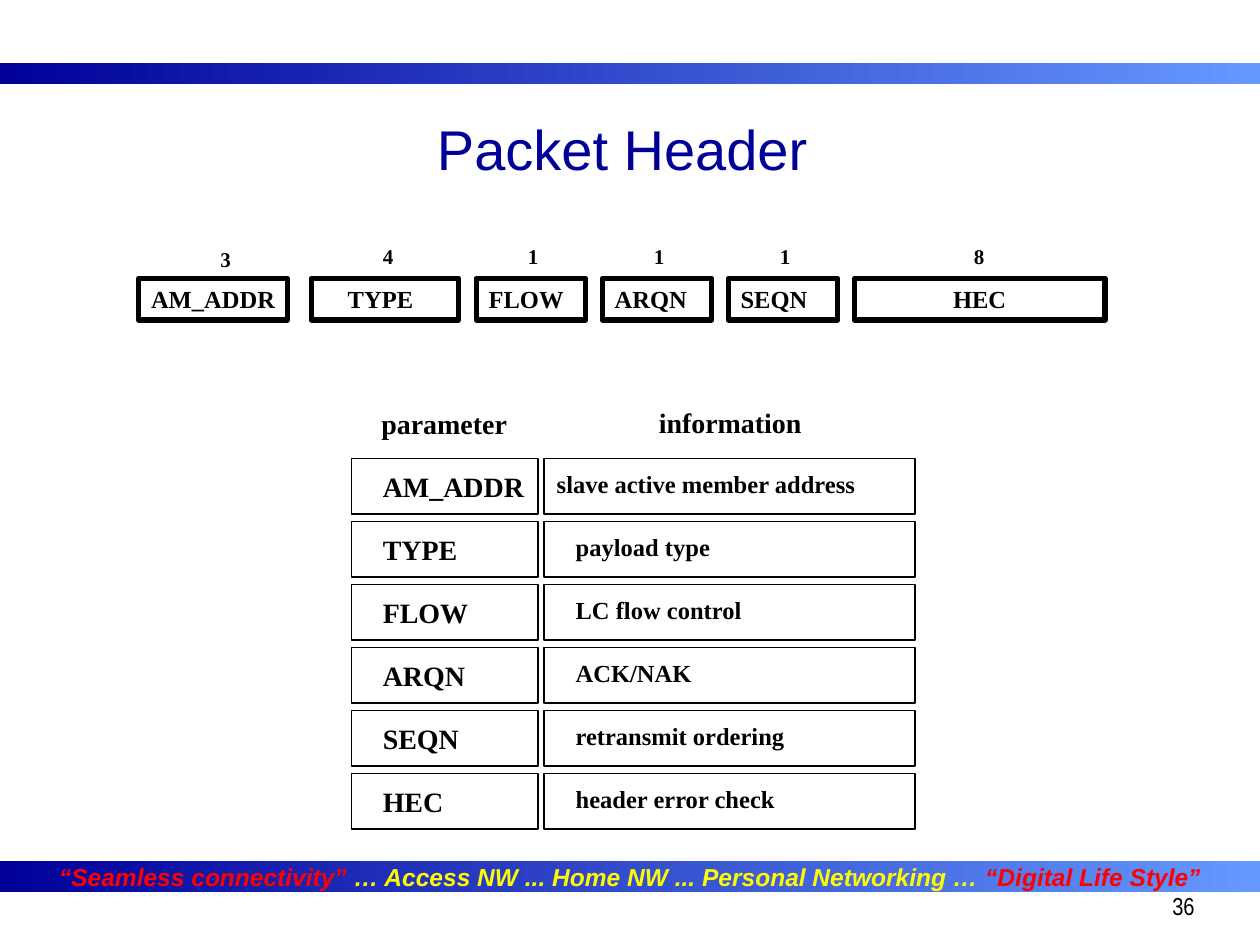
from dataclasses import dataclass

from pptx import Presentation
from pptx.dml.color import RGBColor
from pptx.enum.shapes import MSO_SHAPE
from pptx.enum.text import MSO_ANCHOR, PP_ALIGN
from pptx.shapes.autoshape import Shape
from pptx.slide import Slide
from pptx.util import Inches, Pt

RECT = MSO_SHAPE.RECTANGLE
MIDDLE = MSO_ANCHOR.MIDDLE
LEFT, CENTER, RIGHT = PP_ALIGN.LEFT, PP_ALIGN.CENTER, PP_ALIGN.RIGHT
BLACK = RGBColor(0x00, 0x00, 0x00)
WHITE = RGBColor(0xFF, 0xFF, 0xFF)
NAVY = RGBColor(0x00, 0x00, 0x99)
SKY = RGBColor(0x66, 0x99, 0xFF)
RED = RGBColor(0xFF, 0x00, 0x00)
YELLOW = RGBColor(0xFF, 0xFF, 0x00)
SERIF = "Times New Roman"


@dataclass
class Field:
    name: str
    bits: str
    left: float
    width: float
    bit_left: float
    bit_top: float = 1.88
    inset: float = 0.1
    align: PP_ALIGN = LEFT
    wrap: bool = True


@dataclass
class Row:
    name: str
    info: str
    info_left: float = 4.47
    name_width: float = 1.23


FIELDS = [
    Field("AM_ADDR", "3", 1.1, 1.18, 1.65, bit_top=1.91, wrap=False),
    Field("TYPE", "4", 2.47, 1.17, 2.94, inset=0.29),
    Field("FLOW", "1", 3.78, 0.87, 4.09),
    Field("ARQN", "1", 4.78, 0.87, 5.09),
    Field("SEQN", "1", 5.78, 0.87, 6.09),
    Field("HEC", "8", 6.78, 1.99, 7.63, align=CENTER),
]
ROWS = [
    Row("AM_ADDR", "slave active member address", 4.32, 1.41),
    Row("TYPE", "payload type"),
    Row("FLOW", "LC flow control"),
    Row("ARQN", "ACK/NAK"),
    Row("SEQN", "retransmit ordering"),
    Row("HEC", "header error check"),
]
MOTTO = [
    ("“Seamless connectivity”", RED),
    (" … Access NW ... Home NW ... Personal Networking … ", YELLOW),
    ("“Digital Life Style”", RED),
]


def write(shape: Shape, text: str, size: float, align: PP_ALIGN = LEFT,
          face: str = SERIF, bold: bool = True) -> None:
    shape.text_frame.word_wrap = True
    para = shape.text_frame.paragraphs[0]
    para.text = text
    para.alignment = align
    para.font.size = Pt(size)
    para.font.name = face
    para.font.bold = bold
    para.font.color.rgb = BLACK


def add_label(slide: Slide, text: str, left: float, top: float, width: float,
              height: float, size: float, align: PP_ALIGN = LEFT) -> None:
    label = slide.shapes.add_textbox(
        Inches(left), Inches(top), Inches(width), Inches(height))
    write(label, text, size, align)


def add_box(slide: Slide, left: float, top: float, width: float,
            height: float, weight: float) -> Shape:
    box = slide.shapes.add_shape(
        RECT, Inches(left), Inches(top), Inches(width), Inches(height))
    box.shadow.inherit = False
    box.fill.solid()
    box.fill.fore_color.rgb = WHITE
    box.line.color.rgb = BLACK
    box.line.width = Pt(weight)
    return box


def add_band(slide: Slide, top: float, height: float) -> Shape:
    band = slide.shapes.add_shape(
        RECT, 0, Inches(top), Inches(10), Inches(height))
    band.shadow.inherit = False
    band.line.fill.background()
    band.fill.gradient()
    band.fill.gradient_angle = 180
    for stop, color in zip(band.fill.gradient_stops, (SKY, NAVY)):
        stop.color.rgb = color
    return band


def add_motto(band: Shape) -> None:
    frame = band.text_frame
    frame.word_wrap = False
    frame.vertical_anchor = MIDDLE
    para = frame.paragraphs[0]
    para.alignment = CENTER
    para.font.size = Pt(14)
    para.font.name = "Arial"
    para.font.bold = True
    para.font.italic = True
    for text, color in MOTTO:
        run = para.add_run()
        run.text = text
        run.font.color.rgb = color


def add_title(slide: Slide) -> None:
    title = slide.shapes.title
    title.left, title.top = Inches(0.49), Inches(0.91)
    title.width, title.height = Inches(8.9), Inches(0.53)
    write(title, "Packet Header", 32, CENTER, "Arial", False)
    title.text_frame.vertical_anchor = MIDDLE
    title.text_frame.paragraphs[0].font.color.rgb = NAVY


def add_field(slide: Slide, field: Field) -> None:
    box = add_box(slide, field.left, 2.21, field.width, 0.33, 3)
    write(box, field.name, 14, field.align)
    box.text_frame.margin_left = Inches(field.inset)
    box.text_frame.word_wrap = field.wrap
    add_label(slide, field.bits, field.bit_left, field.bit_top, 0.28, 0.3, 12)


def add_row(slide: Slide, row: Row, top: float) -> None:
    add_box(slide, 2.79, top, 1.48, 0.44, 1)
    add_label(slide, row.name, 2.94, top + 0.04, row.name_width, 0.36, 16)
    add_box(slide, 4.32, top, 2.94, 0.44, 1)
    add_label(slide, row.info, row.info_left, top + 0.03, 3.05, 0.33, 14)


def add_number(slide: Slide) -> None:
    number = slide.shapes.add_textbox(
        Inches(7.5), Inches(7), Inches(2.08), Inches(0.5))
    write(number, "36", 14, RIGHT, "Arial Narrow", False)
    number.text_frame.paragraphs[0].line_spacing = 1.1


def main() -> None:
    deck = Presentation()
    deck.slide_width, deck.slide_height = Inches(10), Inches(7.5)
    slide = deck.slides.add_slide(deck.slide_layouts[5])
    add_band(slide, 0.5, 0.17)
    add_motto(add_band(slide, 6.83, 0.25))
    add_title(slide)
    for field in FIELDS:
        add_field(slide, field)
    add_label(slide, "parameter", 2.78, 3.18, 1.49, 0.36, 16, CENTER)
    add_label(slide, "information", 4.32, 3.17, 2.95, 0.36, 16, CENTER)
    for index, row in enumerate(ROWS):
        add_row(slide, row, 3.64 + 0.5 * index)
    add_number(slide)
    deck.save("out.pptx")


if __name__ == "__main__":
    main()
